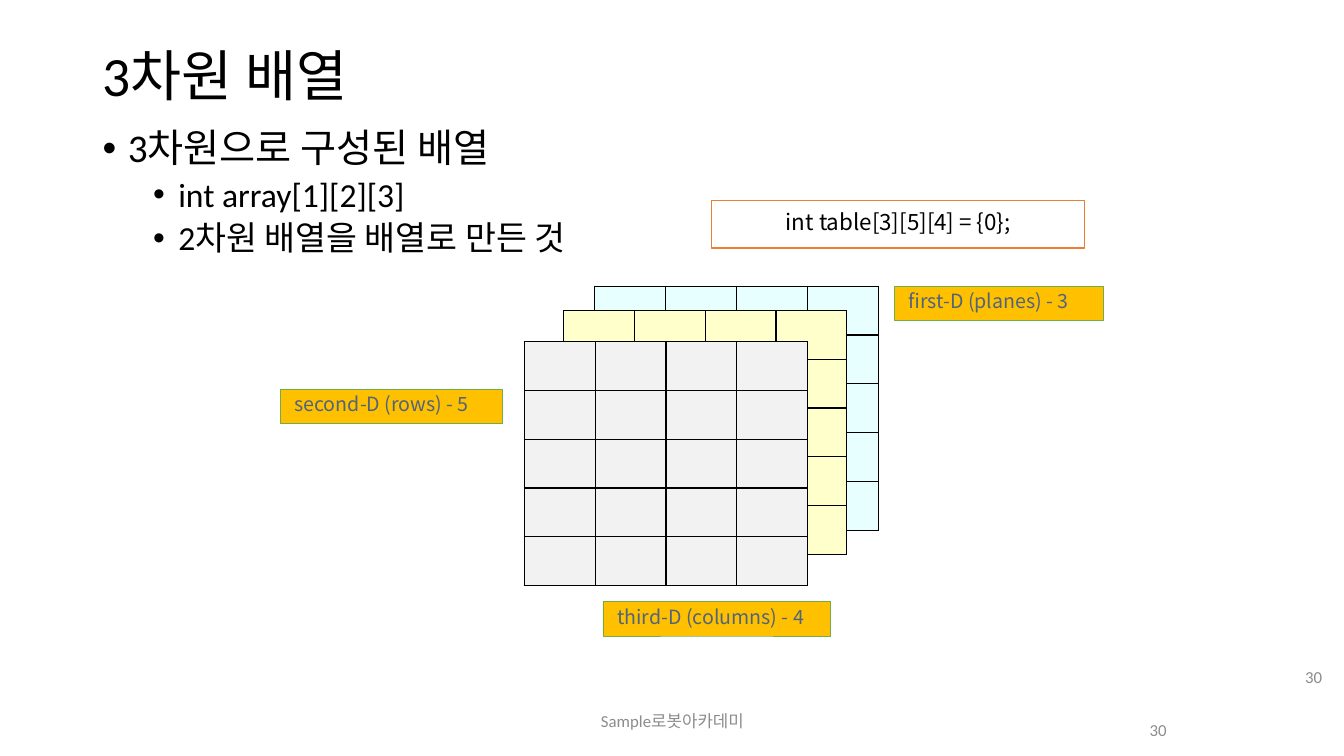
from pptx import Presentation
from pptx.dml.color import RGBColor
from pptx.enum.shapes import MSO_SHAPE
from pptx.enum.text import MSO_ANCHOR, MSO_AUTO_SIZE, PP_ALIGN
from pptx.oxml import parse_xml
from pptx.oxml.ns import nsdecls
from pptx.util import Inches, Pt


class Theme:
    latin, label = "Calibri", "Noto Sans CJK KR"
    black, white, grey, slate = "000000", "FFFFFF", "8C8C8C", "51647E"
    gold, green, orange = "FFC000", "70AD47", "ED7D31"
    back, middle, front = "E7FFFF", "FFFFCC", "F2F2F2"
    title, bullet, sub, code, tag, foot = 39.6, 28, 24, 16, 14, 12


def write(para, text, size, color, font=Theme.latin, align=PP_ALIGN.LEFT):
    para.text = text
    para.alignment = align
    para.font.size = Pt(size)
    para.font.name = font
    para.font.color.rgb = RGBColor.from_string(color)


def add_box(left, top, width, height, fill, line, weight):
    """Add a filled rectangle and return its text frame."""
    box = slide.shapes.add_shape(MSO_SHAPE.RECTANGLE, Inches(left), Inches(top),
                                 Inches(width), Inches(height))
    box.shadow.inherit = False
    box.fill.solid()
    box.fill.fore_color.rgb = RGBColor.from_string(fill)
    box.line.color.rgb = RGBColor.from_string(line)
    box.line.width = Pt(weight)
    return box.text_frame


deck = Presentation()
deck.slide_width, deck.slide_height = Inches(13.33), Inches(7.5)
slide = deck.slides.add_slide(deck.slide_layouts[5])

# Title
title = slide.shapes.title
title.left, title.top = Inches(0.92), Inches(0.4)
title.width, title.height = Inches(11.5), Inches(0.75)
title.text_frame.auto_size = MSO_AUTO_SIZE.NONE
title.text_frame.vertical_anchor = MSO_ANCHOR.MIDDLE
write(title.text_frame.paragraphs[0], "3차원 배열", Theme.title, Theme.black)
title.text_frame.paragraphs[0].line_spacing = 0.9

# Bullets
body = slide.shapes.add_textbox(Inches(0.92), Inches(1.23), Inches(11.5), Inches(5.53)).text_frame
body.word_wrap = True
bullets = [
    ("3차원으로 구성된 배열", 0, Theme.bullet),
    ("int array[1][2][3]", 1, Theme.sub),
    ("2차원 배열을 배열로 만든 것", 1, Theme.sub),
]
for i, (text, level, size) in enumerate(bullets):
    para = body.add_paragraph() if i else body.paragraphs[0]
    props = para._p.get_or_add_pPr()
    props.set("marL", str(Inches(0.25 + 0.5 * level)))
    props.set("indent", str(-Inches(0.25)))
    props.append(parse_xml(f'<a:buFont {nsdecls("a")} typeface="Arial"/>'))
    props.append(parse_xml(f'<a:buChar {nsdecls("a")} char="•"/>'))
    write(para, text, size, Theme.black)
    para.level = level
    para.line_spacing = 0.9
    if i:
        para.space_before = Pt(5)

# Footer and page numbers
feet = [
    ("Sample로봇아카데미", 4.42, 6.95, 4.5, 0.4, PP_ALIGN.CENTER),
    ("30", 12.59, 6.51, 0.62, 0.4, PP_ALIGN.RIGHT),
    ("30", 11.17, 6.98, 0.5, 0.52, PP_ALIGN.RIGHT),
]
for text, left, top, width, height, align in feet:
    frame = slide.shapes.add_textbox(Inches(left), Inches(top), Inches(width), Inches(height)).text_frame
    frame.word_wrap = True
    frame.vertical_anchor = MSO_ANCHOR.MIDDLE
    write(frame.paragraphs[0], text, Theme.foot, Theme.grey, align=align)

# Planes of the array, back to front
rows, cols = 5, 4
for left, top, fill in [(5.9, 2.84, Theme.back), (5.59, 3.08, Theme.middle), (5.2, 3.39, Theme.front)]:
    plane = slide.shapes.add_table(rows, cols, Inches(left), Inches(top),
                                   Inches(2.81), Inches(2.42)).table
    for cell in plane.iter_cells():
        cell.fill.solid()
        cell.fill.fore_color.rgb = RGBColor.from_string(fill)
        props = cell._tc.get_or_add_tcPr()
        for i, side in enumerate("LRTB"):
            props.insert(i, parse_xml(
                f'<a:ln{side} {nsdecls("a")} w="{Pt(1)}"><a:solidFill>'
                f'<a:srgbClr val="{Theme.black}"/></a:solidFill></a:ln{side}>'))

# Labels of the dimensions
tags = [
    ("first-D (planes) - 3", 8.87, 2.84, 2.07),
    ("second-D (rows) - 5", 2.78, 3.86, 2.2),
    ("third-D (columns) - 4", 5.98, 5.97, 2.26),
]
for text, left, top, width in tags:
    frame = add_box(left, top, width, 0.34, Theme.gold, Theme.green, 0.5)
    frame.vertical_anchor = MSO_ANCHOR.TOP
    frame.margin_left = Inches(0.14)
    frame.margin_top = frame.margin_bottom = Inches(0.03)
    write(frame.paragraphs[0], text, Theme.tag, Theme.slate, Theme.label)

# Declaration
code = add_box(7.06, 1.99, 3.7, 0.47, Theme.white, Theme.orange, 1)
code.vertical_anchor = MSO_ANCHOR.MIDDLE
write(code.paragraphs[0], "int table[3][5][4] = {0};", Theme.code, Theme.black,
      Theme.label, PP_ALIGN.CENTER)
code.paragraphs[0].line_spacing = 0.8

deck.save("out.pptx")
